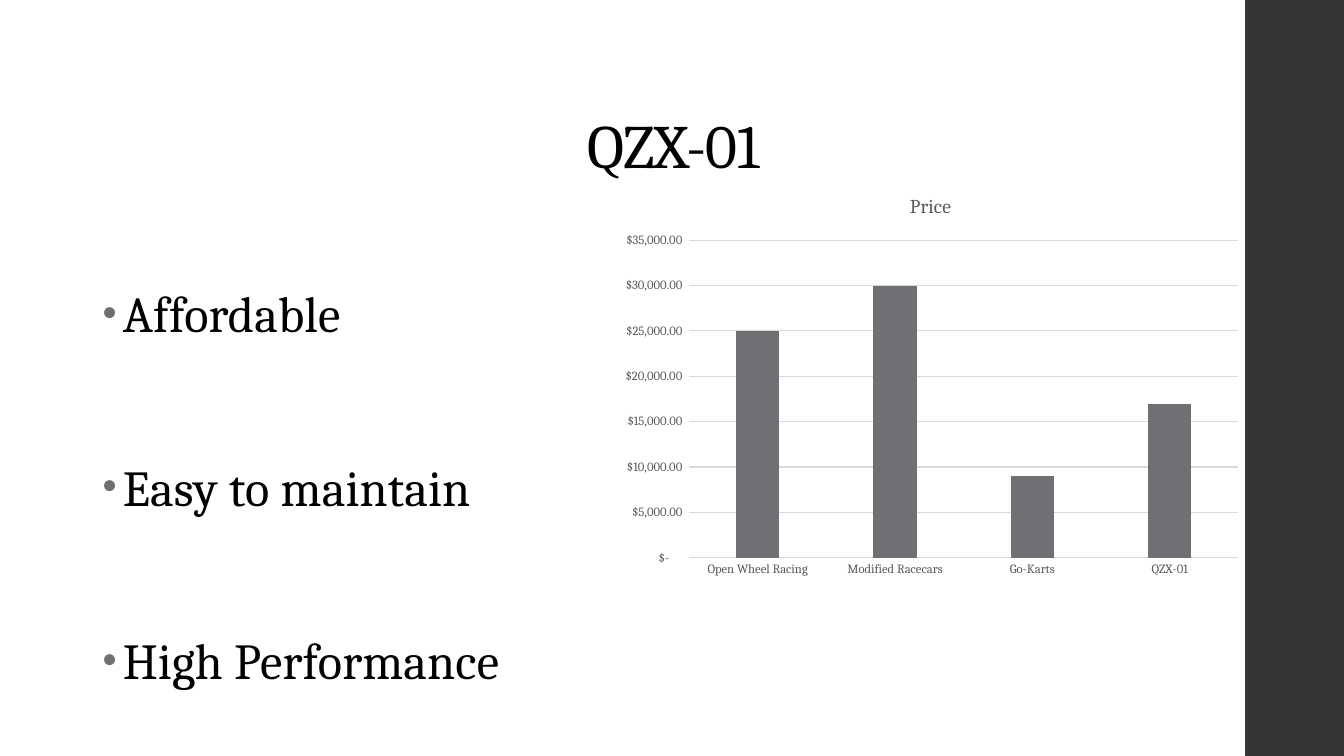
"""Build the QZX-01 slide: three selling points beside a price comparison chart."""
from dataclasses import dataclass

from lxml.etree import SubElement
from pptx import Presentation
from pptx.chart.data import CategoryChartData
from pptx.dml.color import RGBColor
from pptx.enum.chart import XL_CHART_TYPE, XL_TICK_MARK
from pptx.enum.shapes import MSO_SHAPE
from pptx.enum.text import MSO_ANCHOR, PP_ALIGN
from pptx.oxml.ns import qn
from pptx.slide import Slide
from pptx.text.text import Font, _Paragraph
from pptx.util import Inches, Pt


@dataclass(frozen=True)
class Theme:
    """Colours, font and type sizes of the slide."""

    font: str = "Cambria"
    ink: str = "000000"
    accent: str = "6F6F74"
    band: str = "353537"
    muted: str = "595959"
    rule: str = "D9D9D9"
    title_size: float = 44
    point_size: float = 36
    chart_title_size: float = 14
    chart_size: float = 10
    axis_size: float = 9
    rule_width: float = 0.75


@dataclass(frozen=True)
class Box:
    """A place on the slide, in inches."""

    left: float
    top: float
    width: float
    height: float

    def lengths(self) -> tuple[Inches, ...]:
        """Return left, top, width and height as lengths."""
        return tuple(map(Inches, (self.left, self.top, self.width, self.height)))


@dataclass(frozen=True)
class Offer:
    """A vehicle class and its price in dollars."""

    label: str
    price: int


THEME = Theme()
SIDE_BAND = Box(12.35, 0, 1, 7.5)
HEADING = Box(1.38, 0.4, 10.6, 1.45)
POINTS = Box(0.92, 1.85, 5.04, 5.15)
PRICES = Box(6.05, 1.75, 6.36, 4.05)
CAR_NAME = "QZX-01"
SELLING_POINTS = ("Affordable", "Easy to maintain", "High Performance")
OFFERS = (
    Offer("Open Wheel Racing", 25000),
    Offer("Modified Racecars", 30000),
    Offer("Go-Karts", 9000),
    Offer(CAR_NAME, 17000),
)
PRICE_FORMAT = (
    r'_("$"* #,##0.00_);_("$"* \(#,##0.00\);_("$"* "-"??_);_(@_)'
)


def style_font(font: Font, size: float, color: str) -> None:
    """Apply the theme typeface with a size and colour."""
    font.name = THEME.font
    font.size = Pt(size)
    font.bold = False
    font.color.rgb = RGBColor.from_string(color)


def style_runs(paragraph: _Paragraph, size: float, tracking: float) -> None:
    """Format every run, with letter spacing in points."""
    for run in paragraph.runs:
        style_font(run.font, size, THEME.ink)
        run.font._element.set("spc", str(round(tracking * 100)))


def add_bullet(paragraph: _Paragraph) -> None:
    """Give a paragraph a hanging accent bullet."""
    properties = paragraph._p.get_or_add_pPr()
    indent = Inches(0.2)
    properties.set("marL", str(indent))
    properties.set("indent", str(-indent))
    bullet_color = SubElement(properties, qn("a:buClr"))
    SubElement(bullet_color, qn("a:srgbClr"), val=THEME.accent)
    SubElement(properties, qn("a:buSzPct"), val="80000")
    SubElement(properties, qn("a:buFont"), typeface="Arial")
    SubElement(properties, qn("a:buChar"), char="•")


def add_side_band(slide: Slide) -> None:
    """Draw the dark band at the right edge."""
    band = slide.shapes.add_shape(MSO_SHAPE.RECTANGLE, *SIDE_BAND.lengths())
    band.shadow.inherit = False
    band.fill.solid()
    band.fill.fore_color.rgb = RGBColor.from_string(THEME.band)
    band.line.fill.background()


def add_heading(slide: Slide, text: str) -> None:
    """Write the centred slide title."""
    frame = slide.shapes.add_textbox(*HEADING.lengths()).text_frame
    frame.word_wrap = True
    frame.vertical_anchor = MSO_ANCHOR.BOTTOM
    frame.text = text
    heading = frame.paragraphs[0]
    heading.alignment = PP_ALIGN.CENTER
    heading.line_spacing = 0.9
    style_runs(heading, THEME.title_size, -0.5)


def add_selling_points(slide: Slide) -> None:
    """Write the widely spaced bullet list."""
    frame = slide.shapes.add_textbox(*POINTS.lengths()).text_frame
    frame.word_wrap = True
    frame.text = "\n".join(SELLING_POINTS)
    for point in frame.paragraphs:
        point.line_spacing = 2.5
        point.space_before = Pt(14)
        point.space_after = Pt(2)
        add_bullet(point)
        style_runs(point, THEME.point_size, 0.1)


def add_price_chart(slide: Slide) -> None:
    """Draw the price comparison columns."""
    data = CategoryChartData(number_format=PRICE_FORMAT)
    data.categories = [offer.label for offer in OFFERS]
    data.add_series("Price", [offer.price for offer in OFFERS])
    chart = slide.shapes.add_chart(
        XL_CHART_TYPE.COLUMN_CLUSTERED, *PRICES.lengths(), data
    ).chart
    style_font(chart.font, THEME.chart_size, THEME.ink)
    chart.has_legend = False
    chart.has_title = True
    title_frame = chart.chart_title.text_frame
    title_frame.text = "Price"
    title_font = title_frame.paragraphs[0].runs[0].font
    style_font(title_font, THEME.chart_title_size, THEME.muted)

    columns = chart.plots[0]
    columns.vary_by_categories = False
    columns.gap_width = 219
    columns.overlap = -27
    price_fill = columns.series[0].format.fill
    price_fill.solid()
    price_fill.fore_color.rgb = RGBColor.from_string(THEME.accent)

    offer_axis, price_axis = chart.category_axis, chart.value_axis
    for axis in (offer_axis, price_axis):
        axis.major_tick_mark = XL_TICK_MARK.NONE
        axis.minor_tick_mark = XL_TICK_MARK.NONE
        style_font(axis.tick_labels.font, THEME.axis_size, THEME.muted)
    price_axis.has_major_gridlines = True
    for rule in (offer_axis.format.line, price_axis.major_gridlines.format.line):
        rule.color.rgb = RGBColor.from_string(THEME.rule)
        rule.width = Pt(THEME.rule_width)
    price_axis.format.line.fill.background()
    price_axis.minimum_scale = 0
    price_axis.maximum_scale = 35000
    price_axis.major_unit = 5000
    price_axis.tick_labels.number_format = PRICE_FORMAT
    price_axis.tick_labels.number_format_is_linked = False


def main() -> None:
    """Assemble and save the slide."""
    deck = Presentation()
    deck.slide_width = Inches(13.33)
    deck.slide_height = Inches(7.5)
    slide = deck.slides.add_slide(deck.slide_layouts[6])
    add_side_band(slide)
    add_heading(slide, CAR_NAME)
    add_selling_points(slide)
    add_price_chart(slide)
    deck.save("out.pptx")


main()
